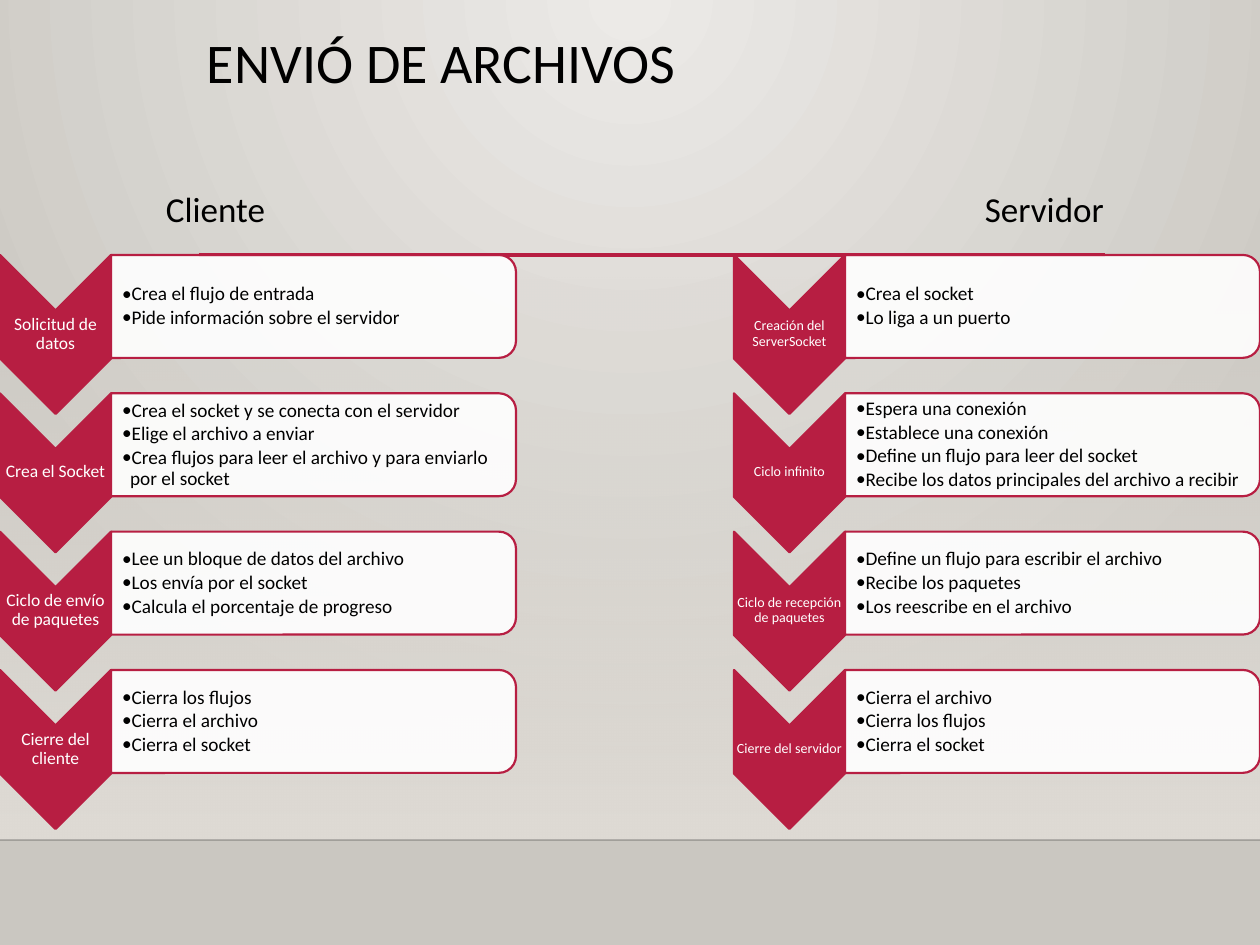
import pptx
import pptx.dml.color
import pptx.enum.shapes
import pptx.enum.text
import pptx.oxml
import pptx.oxml.ns
import pptx.util

PX = 914400 / 126
WIDTH, HEIGHT = 1260, 945
RED, BLACK, WHITE = "B71E42", "000000", "FFFFFF"
FONT = "Calibri"
SHAPE = pptx.enum.shapes.MSO_SHAPE
ALIGN = pptx.enum.text.PP_ALIGN
ANCHOR = pptx.enum.text.MSO_ANCHOR
qn = pptx.oxml.ns.qn

CLIENT = [
    ("Solicitud de datos", ["Crea el flujo de entrada", "Pide información sobre el servidor"]),
    ("Crea el Socket", ["Crea el socket y se conecta con el servidor", "Elige el archivo a enviar",
                        "Crea flujos para leer el archivo y para enviarlo por el socket"]),
    ("Ciclo de envío de paquetes", ["Lee un bloque de datos del archivo", "Los envía por el socket",
                                    "Calcula el porcentaje de progreso"]),
    ("Cierre del cliente", ["Cierra los flujos", "Cierra el archivo", "Cierra el socket"]),
]
SERVER = [
    ("Creación del ServerSocket", ["Crea el socket", "Lo liga a un puerto"]),
    ("Ciclo infinito", ["Espera una conexión", "Establece una conexión",
                        "Define un flujo para leer del socket",
                        "Recibe los datos principales del archivo a recibir"]),
    ("Ciclo de recepción de paquetes", ["Define un flujo para escribir el archivo",
                                        "Recibe los paquetes", "Los reescribe en el archivo"]),
    ("Cierre del servidor", ["Cierra el archivo", "Cierra los flujos", "Cierra el socket"]),
]


def emu(*lengths):
    return [pptx.util.Emu(round(n * PX)) for n in lengths]


def rgb(color):
    return pptx.dml.color.RGBColor.from_string(color)


def sub(parent, tag, **attrs):
    el = pptx.oxml.parse_xml(f"<a:{tag} {pptx.oxml.ns.nsdecls('a')}/>")
    for name, value in attrs.items():
        el.set(name, str(value))
    parent.append(el)
    return el


def set_alpha(el, percent):
    sub(next(el.iter(qn("a:srgbClr"))), "alpha", val=percent * 1000)


def set_gradient(fill, colors):
    fill.gradient()
    for stop, color, position in zip(fill.gradient_stops, colors, (0, 1)):
        stop.color.rgb = rgb(color)
        stop.position = position


def add_line(slide, x1, x2, y, color, width):
    line = slide.shapes.add_connector(pptx.enum.shapes.MSO_CONNECTOR.STRAIGHT, *emu(x1, y, x2, y))
    line.line.color.rgb = rgb(color)
    line.line.width = pptx.util.Pt(width)
    sub(line._element.spPr, "effectLst")
    return line


def add_text(slide, x, y, w, h, lines, size, color, spacing=0.9, align=ALIGN.CENTER,
             anchor=ANCHOR.MIDDLE, insets=(1, 1, 1, 1)):
    tf = slide.shapes.add_textbox(*emu(x, y, w, h)).text_frame
    tf.word_wrap = True
    tf.vertical_anchor = anchor
    tf.margin_left, tf.margin_top, tf.margin_right, tf.margin_bottom = emu(*insets)
    tf.text = "\n".join(lines)
    for p in tf.paragraphs:
        p.alignment = align
        p.line_spacing = spacing
        for r in p.runs:
            r.font.name = FONT
            r.font.size = pptx.util.Pt(size)
            r.font.color.rgb = rgb(color)
    return tf


def add_turned(slide, kind, x, y, w, h, fill):
    sp = slide.shapes.add_shape(kind, *emu(x + (w - h) / 2, y + (h - w) / 2, h, w))
    sp.rotation = 90
    sp.shadow.inherit = False
    sp.fill.solid()
    sp.fill.fore_color.rgb = rgb(fill)
    sp.line.color.rgb = rgb(RED)
    sp.line.width = pptx.util.Pt(1.25)
    return sp


def draw_background(slide):
    set_gradient(slide.background.fill, ("ECEAE7", "CAC7C1"))
    grad = next(slide._element.iter(qn("a:gradFill")))
    grad.remove(grad.find(qn("a:lin")))
    circle = sub(grad, "path", path="circle")
    sub(circle, "fillToRect", l=43000, t=0, r=43000, b=100000)

    wall = slide.shapes.add_shape(SHAPE.RECTANGLE, *emu(0, 277, WIDTH, 563))
    wall.shadow.inherit = False
    wall.line.fill.background()
    set_gradient(wall.fill, ("DFDBD5", "DFDBD5"))
    wall.fill.gradient_angle = 270
    set_alpha(wall._element, 0)
    floor = add_line(slide, 0, WIDTH, 840, "000001", 1)
    set_alpha(floor._element, 20)
    add_line(slide, 199, 1105, 255, RED, 2.5)


def draw_step(slide, x, y, w, label, items, label_size):
    arrow_w = 111
    add_turned(slide, SHAPE.CHEVRON, x, y, arrow_w, 159, RED)
    add_text(slide, x, y + 55, arrow_w, 48, [label], label_size, WHITE)
    box_x, box_w = x + arrow_w, w - arrow_w
    box = add_turned(slide, SHAPE.ROUND_2_SAME_RECTANGLE, box_x, y, box_w, 103, WHITE)
    set_alpha(box._element, 90)
    tf = add_text(slide, box_x, y + 5, box_w - 5, 93, items, 11, BLACK,
                  align=ALIGN.LEFT, insets=(11, 1, 1, 1))
    indent, = emu(8)
    for p in tf.paragraphs:
        p.level = 1
        p.space_after = pptx.util.Pt(1.65)
        pPr = p._p.get_or_add_pPr()
        pPr.set("marL", str(indent))
        pPr.set("indent", str(-indent))
        sub(pPr, "buFont", typeface=FONT)
        sub(pPr, "buChar", char="•")


def draw_column(slide, x, y, w, heading, heading_x, steps, label_size):
    add_text(slide, heading_x, y - 82, 431, 111, [heading], 20, BLACK, spacing=1.2,
             anchor=ANCHOR.TOP, insets=(13, 6, 13, 6))
    pitch = 415 / (len(steps) - 1)
    for i, (label, items) in enumerate(steps):
        draw_step(slide, x, y + i * pitch, w, label, items, label_size)


def main():
    prs = pptx.Presentation()
    prs.slide_width, prs.slide_height = emu(WIDTH, HEIGHT)
    slide = prs.slides.add_slide(prs.slide_layouts[6])
    draw_background(slide)
    add_text(slide, 194, 29, 906, 81, ["ENVIÓ DE ARCHIVOS"], 32, BLACK,
             align=ALIGN.LEFT, anchor=ANCHOR.TOP, insets=(13, 6, 13, 6))
    draw_column(slide, 0, 255, 516, "Cliente", 0, CLIENT, 10)
    draw_column(slide, 734, 255, 526, "Servidor", 829, SERVER, 8)
    prs.save("out.pptx")


if __name__ == "__main__":
    main()
